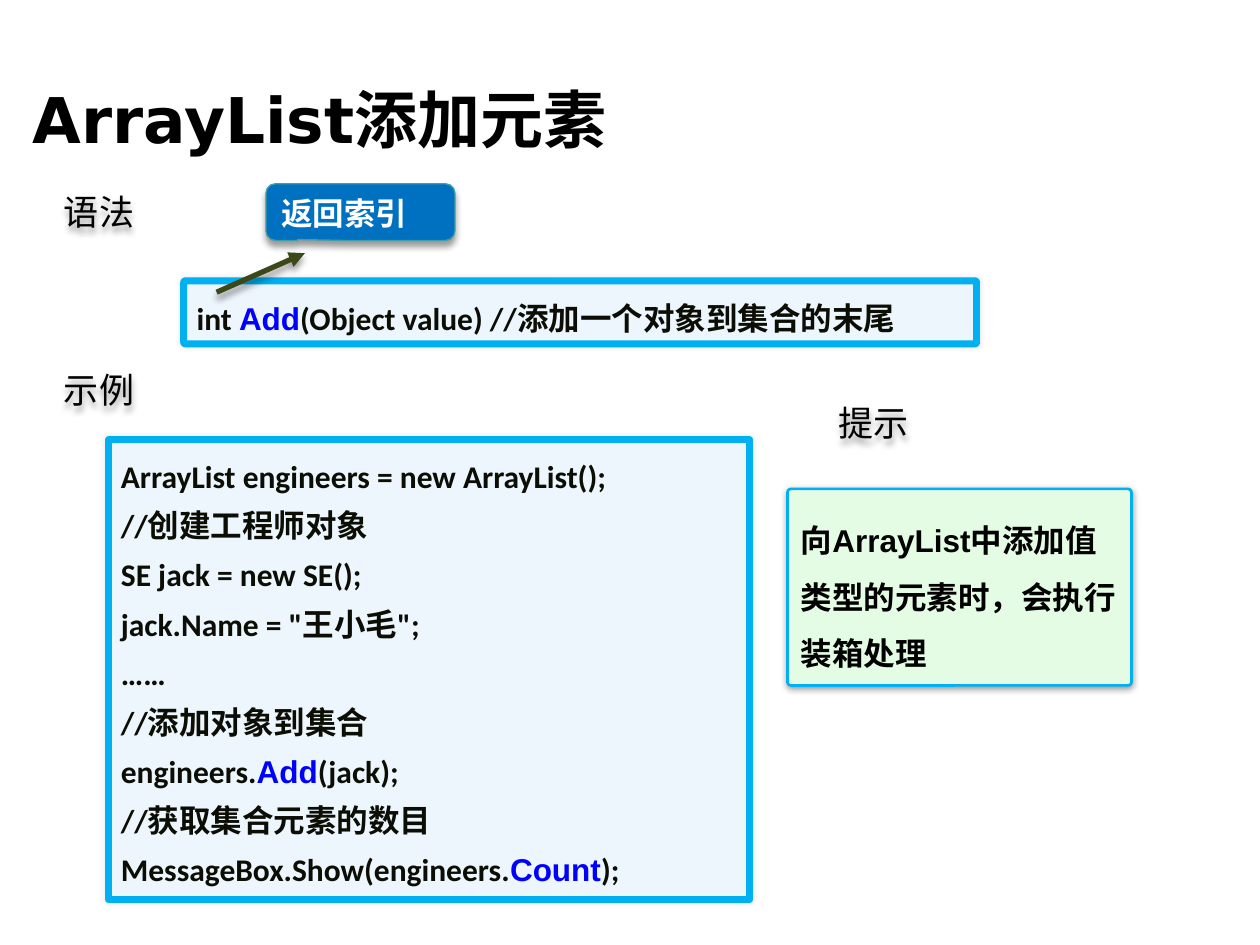
from lxml import etree
from pptx import Presentation
from pptx.dml.color import RGBColor
from pptx.enum.shapes import MSO_CONNECTOR, MSO_SHAPE
from pptx.enum.text import MSO_ANCHOR, MSO_AUTO_SIZE, PP_ALIGN
from pptx.oxml.ns import qn
from pptx.util import Pt

ROUNDED = MSO_SHAPE.ROUNDED_RECTANGLE
CALLOUT = MSO_SHAPE.ROUNDED_RECTANGULAR_CALLOUT
STRAIGHT = MSO_CONNECTOR.STRAIGHT
TOP, MIDDLE, BOTTOM = MSO_ANCHOR.TOP, MSO_ANCHOR.MIDDLE, MSO_ANCHOR.BOTTOM
LEFT = PP_ALIGN.LEFT
GROW = MSO_AUTO_SIZE.SHAPE_TO_FIT_TEXT
FIXED = MSO_AUTO_SIZE.NONE

CJK_FONT = "Noto Sans CJK SC"
CODE_FONT, CODE_COLOR = "Calibri", "0C0E05"
KEYWORD_FONT, KEYWORD_COLOR = "Arial", "0000FF"
SKY = "00B0F0"
SOFT_GLOW = (10, 3, 0, 0)
DROP_SHADOW = (40, 4, 3, 90)
TIP_SHADOW = (40, 4, 1, 90)

SYNTAX = [("int ", "Add", "(Object value) //添加一个对象到集合的末尾")]
EXAMPLE = [
    ("ArrayList engineers = new ArrayList();",),
    ("//创建工程师对象",),
    ("SE jack = new SE();",),
    ('jack.Name = "王小毛";',),
    ("……",),
    ("//添加对象到集合",),
    ("engineers.", "Add", "(jack);"),
    ("//获取集合元素的数目",),
    ("MessageBox.Show(engineers.", "Count", ");"),
]


def rgb(value):
    """Turn a hex string into a colour."""
    return RGBColor.from_string(value)


def style_span(span, size, font, color, bold=False):
    """Format one run, with a matching East Asian font."""
    span.font.size = Pt(size)
    span.font.name = font
    span.font.bold = bold
    span.font.color.rgb = rgb(color)
    latin = span.font._element.find(qn("a:latin"))
    east_asian = etree.Element(qn("a:ea"), typeface=CJK_FONT)
    latin.addnext(east_asian)


def add_shadow(effects, opacity, blur, distance, angle):
    """Put a black outer shadow into an effect list."""
    shadow = etree.SubElement(
        effects, qn("a:outerShdw"), blurRad=str(Pt(blur)), dist=str(Pt(distance)),
        dir=str(angle * 60000), algn="ctr", rotWithShape="0")
    black = etree.SubElement(shadow, qn("a:srgbClr"), val="000000")
    etree.SubElement(black, qn("a:alpha"), val=str(opacity * 1000))


def shade_shape(shape, shadow):
    """Replace the theme shadow of a shape."""
    shape.shadow.inherit = False
    add_shadow(shape._element.spPr.find(qn("a:effectLst")), *shadow)


def set_frame(shape, anchor, auto_size, wrap=True):
    """Set the text layout of a shape and return its frame."""
    frame = shape.text_frame
    frame.word_wrap = wrap
    frame.auto_size = auto_size
    frame.vertical_anchor = anchor
    return frame


def add_panel(page, box, preset, adjustments, fill, line, width, shadow):
    """Add a filled, outlined shape."""
    panel = page.shapes.add_shape(preset, *map(Pt, box))
    for index, value in enumerate(adjustments):
        panel.adjustments[index] = value
    panel.fill.solid()
    panel.fill.fore_color.rgb = rgb(fill)
    panel.line.color.rgb = rgb(line)
    panel.line.width = Pt(width)
    shade_shape(panel, shadow)
    return panel


def add_title(page, box, text):
    """Place and format the slide title."""
    title = page.shapes.title
    title.left, title.top, title.width, title.height = map(Pt, box)
    frame = set_frame(title, MIDDLE, FIXED)
    frame.text = text
    frame.paragraphs[0].alignment = LEFT
    style_span(frame.paragraphs[0].runs[0], 36, "DejaVu Sans", "000000", True)


def add_label(page, box, text):
    """Add a section label."""
    label = page.shapes.add_textbox(*map(Pt, box))
    frame = set_frame(label, MIDDLE, GROW, wrap=False)
    frame.text = text
    style_span(frame.paragraphs[0].runs[0], 20, CJK_FONT, "000000")
    shade_shape(label, DROP_SHADOW)


def add_code(page, box, lines, rounding):
    """Add a code panel; every second part of a line is a keyword."""
    panel = add_panel(page, box, ROUNDED, [rounding], "EDF5FD", SKY, 4, SOFT_GLOW)
    frame = set_frame(panel, TOP, GROW)
    for index, parts in enumerate(lines):
        para = frame.add_paragraph() if index else frame.paragraphs[0]
        para.alignment = LEFT
        para.line_spacing = 1.3
        for position, part in enumerate(parts):
            span = para.add_run()
            span.text = part
            if position % 2:
                style_span(span, 18, KEYWORD_FONT, KEYWORD_COLOR, True)
            else:
                style_span(span, 18, CODE_FONT, CODE_COLOR, True)


def add_note(panel, text, color, anchor, auto_size, spacing):
    """Write one bold paragraph into a panel."""
    frame = set_frame(panel, anchor, auto_size)
    frame.text = text
    para = frame.paragraphs[0]
    para.alignment = LEFT
    para.line_spacing = spacing
    style_span(para.runs[0], 18, "Arial", color, True)


def add_callout(page, box, text):
    """Add the blue callout."""
    panel = add_panel(page, box, CALLOUT, (-0.332, 0.484, 0.167),
                      "0070C0", "429DA5", 0.75, DROP_SHADOW)
    add_note(panel, text, "FFFFFF", BOTTOM, GROW, 1.0)


def add_tip(page, box, text):
    """Add the green tip panel."""
    panel = add_panel(page, box, ROUNDED, [0.018], "E4FCE4", SKY, 1.5, TIP_SHADOW)
    add_note(panel, text, "000000", MIDDLE, FIXED, 1.5)


def add_arrow(page, start, end):
    """Add the arrow from the return type to the callout."""
    arrow = page.shapes.add_connector(STRAIGHT, *map(Pt, start + end))
    arrow.line.color.rgb = rgb("3C4818")
    arrow.line.width = Pt(3)
    properties = arrow._element.spPr
    etree.SubElement(properties.find(qn("a:ln")), qn("a:tailEnd"), type="triangle")
    add_shadow(etree.SubElement(properties, qn("a:effectLst")), *DROP_SHADOW)


def main():
    """Build and save the slide."""
    deck = Presentation()
    deck.slide_width, deck.slide_height = Pt(720), Pt(540)
    page = deck.slides.add_slide(deck.slide_layouts[5])
    add_title(page, (11.5, 39.6, 696, 56), "ArrayList添加元素")
    add_code(page, (105, 160.5, 453, 36), SYNTAX, 0.025)
    add_code(page, (62, 251.3, 366.5, 262.8), EXAMPLE, 0)
    add_callout(page, (152, 105, 108, 32.4), "返回索引")
    for left, top, text in ((29.5, 105, "语法"), (29.5, 206.6, "示例"),
                            (472.3, 225.4, "提示")):
        add_label(page, (left, top, 55.4, 31.7), text)
    add_tip(page, (450, 279.4, 196.6, 112.3),
            "向ArrayList中添加值类型的元素时，会执行装箱处理")
    add_arrow(page, (123.8, 167), (174.2, 144.7))
    deck.save("out.pptx")


if __name__ == "__main__":
    main()
